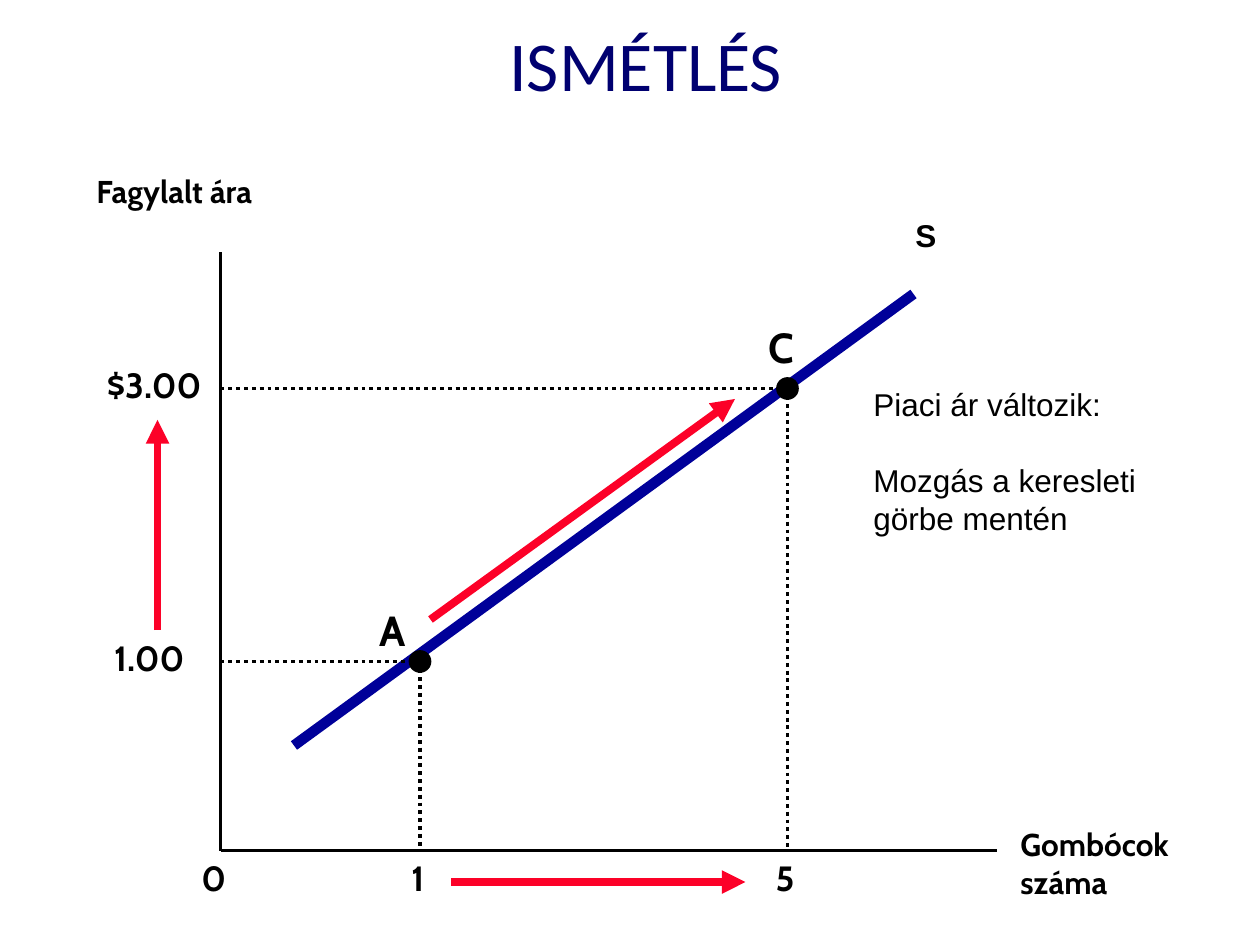
from dataclasses import dataclass

from lxml import etree
from pptx import Presentation
from pptx import util as u
from pptx.dml.color import RGBColor
from pptx.enum import dml, shapes, text
from pptx.oxml.ns import qn

COLUMNS, ROWS = 120, 90
CELL = u.Inches(10) // COLUMNS


@dataclass(frozen=True)
class Theme:
    ink: str = "000000"
    title: str = "000070"
    supply: str = "000099"
    change: str = "FC0128"
    title_font: str = "Calibri"
    label_font: str = "Cabin"
    note_font: str = "Arial"
    title_size: float = 40
    point_size: float = 24
    value_size: float = 20
    text_size: float = 18
    note_leading: float = 21.8
    axis_width: float = 2.25
    arrow_width: float = 4.5
    supply_width: float = 6


THEME = Theme()

# Grid positions that the diagram shares
ORIGIN_X, ORIGIN_Y = 21, 81
POINT_A, POINT_C = (40, 63), (75, 37)


def cells(*counts):
    return [round(count * CELL) for count in counts]


def add_text(slide, box, wording, size, font=THEME.label_font,
             color=THEME.ink, bold=True):
    """Place wording in a (column, row, width, height) box of the grid."""
    frame = slide.shapes.add_textbox(*cells(*box)).text_frame
    frame.word_wrap = True
    frame.text = wording
    for paragraph in frame.paragraphs:
        for run in paragraph.runs:
            run.font.name = font
            run.font.size = u.Pt(size)
            run.font.bold = bold
            run.font.color.rgb = RGBColor.from_string(color)
    return frame


def add_line(slide, start, end, color=THEME.ink, width=THEME.axis_width,
             dotted=False, arrow=False):
    line = slide.shapes.add_connector(
        shapes.MSO_CONNECTOR.STRAIGHT, *cells(*start, *end))
    line.line.color.rgb = RGBColor.from_string(color)
    line.line.width = u.Pt(width)
    if dotted:
        line.line.dash_style = dml.MSO_LINE.ROUND_DOT
    if arrow:
        etree.SubElement(line.line._get_or_add_ln(), qn("a:tailEnd"),
                         type="triangle")
    etree.SubElement(line._element.spPr, qn("a:effectLst"))


def add_guides(slide, point):
    """Drop dotted lines from a point to both axes."""
    column, row = point
    add_line(slide, (ORIGIN_X, row), point, dotted=True)
    add_line(slide, point, (column, ORIGIN_Y), dotted=True)


def add_dot(slide, point):
    column, row = point
    dot = slide.shapes.add_shape(
        shapes.MSO_SHAPE.OVAL, *cells(column - 1, row - 1, 2, 2))
    dot.shadow.inherit = False
    dot.fill.solid()
    dot.fill.fore_color.rgb = RGBColor.from_string(THEME.ink)
    dot.line.color.rgb = RGBColor.from_string(THEME.ink)
    dot.line.width = u.Pt(1)


def add_title(slide):
    title = add_text(slide, (3, 1, 117, 10), "ISMÉTLÉS", THEME.title_size,
                     THEME.title_font, THEME.title, bold=False)
    title.vertical_anchor = text.MSO_ANCHOR.MIDDLE
    title.paragraphs[0].alignment = text.PP_ALIGN.CENTER


def add_note(slide):
    note = add_text(slide, (82, 36, 32, 15.7),
                    "Piaci ár változik:\nMozgás a keresleti görbe mentén",
                    THEME.text_size, THEME.note_font, bold=False)
    for paragraph in note.paragraphs:
        paragraph.line_spacing = u.Pt(THEME.note_leading)
    note.paragraphs[1].space_before = u.Pt(THEME.note_leading)


def add_labels(slide):
    for wording, column, row, width in (
            ("0", 18, 81, 6), ("1", 38, 81, 6), ("5", 72.7, 81, 6),
            ("1.00", 9.7, 60, 12), ("$3.00", 9, 34, 12)):
        add_text(slide, (column, row, width, 5.2), wording, THEME.value_size)
    for wording, (column, row) in (("A", POINT_A), ("C", POINT_C)):
        offset = 5 if wording == "A" else 3
        add_text(slide, (column - offset, row - 6 - (wording == "C") / 1.0,
                         5, 6), wording, THEME.point_size)
    add_text(slide, (8, 15.8, 20, 8.5), "Fagylalt ára", THEME.text_size)
    add_text(slide, (96, 78, 20, 8.5), "Gombócok száma", THEME.text_size)
    add_text(slide, (86, 20, 8, 7.5), "S", THEME.text_size, THEME.note_font)


def main():
    deck = Presentation()
    deck.slide_width, deck.slide_height = cells(COLUMNS, ROWS)
    slide = deck.slides.add_slide(deck.slide_layouts[6])

    add_title(slide)
    add_line(slide, (ORIGIN_X, 24), (ORIGIN_X, ORIGIN_Y))
    add_line(slide, (ORIGIN_X, ORIGIN_Y), (95, ORIGIN_Y))
    add_line(slide, (28, 71), (87, 28), THEME.supply, THEME.supply_width)
    for point in (POINT_A, POINT_C):
        add_guides(slide, point)
        add_dot(slide, point)
    add_labels(slide)
    for start, end in (((15, 60), (15, 40)), ((43, 84), (71, 84)),
                       ((41, 59), (70, 38))):
        add_line(slide, start, end, THEME.change, THEME.arrow_width,
                 arrow=True)
    add_note(slide)
    deck.save("out.pptx")


if __name__ == "__main__":
    main()
